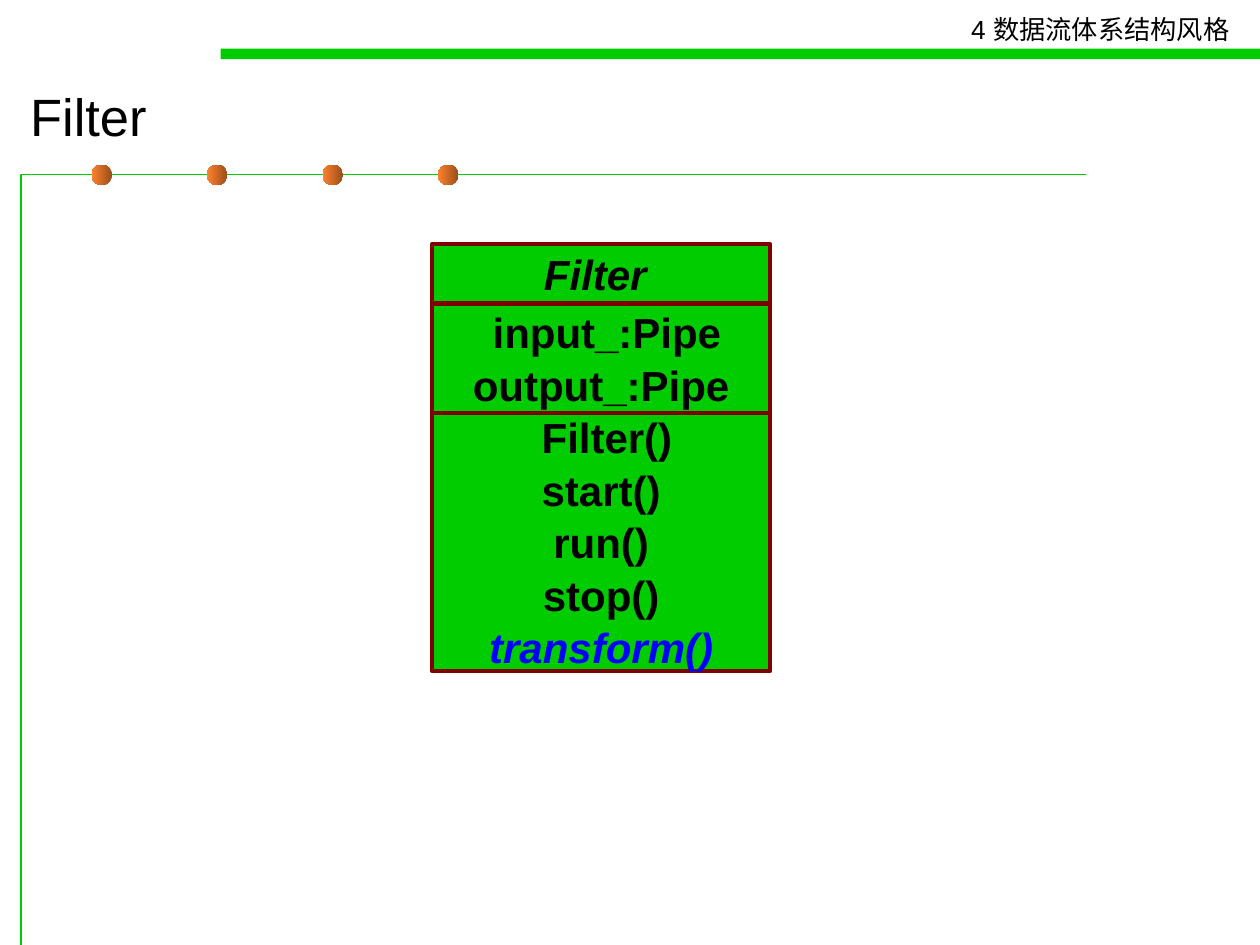
from pptx import Presentation
from pptx.dml.color import RGBColor
from pptx.enum.shapes import MSO_SHAPE
from pptx.enum.text import MSO_ANCHOR, PP_ALIGN
from pptx.util import Pt

COLORS = {
    "green": "00CC00", "maroon": "800000", "black": "000000", "blue": "0000FF",
    "dot_dark": "9A4E1B", "dot_light": "FF822D",
}


def color(name):
    return RGBColor.from_string(COLORS[name])


def write_text(paragraph, text, color_name="black", **font_values):
    run = paragraph.add_run()
    run.text = text
    for name, value in {"name": "Arial", **font_values}.items():
        setattr(run.font, name, value)
    run.font.color.rgb = color(color_name)


presentation = Presentation()
presentation.slide_width, presentation.slide_height = Pt(720), Pt(540)
slide = presentation.slides.add_slide(presentation.slide_layouts[5])
shapes = slide.shapes

# Thin corner line
builder = shapes.build_freeform(Pt(12), Pt(540), scale=1.0)
builder.add_line_segments([(Pt(12), Pt(99.8)), (Pt(620.8), Pt(99.8))], close=False)
corner_line = builder.convert_to_shape()
corner_line.shadow.inherit = False
corner_line.fill.background()
corner_line.line.color.rgb = color("green")
corner_line.line.width = Pt(0.75)

# Evenly spaced dots on the line
for index in range(4):
    dot = shapes.add_shape(
        MSO_SHAPE.OVAL, Pt(52.3 + 66 * index), Pt(94.1), Pt(11.7), Pt(11.7))
    dot.shadow.inherit = False
    dot.line.fill.background()
    dot.fill.gradient()
    dot.fill.gradient_angle = 180
    for stop, name in zip(dot.fill.gradient_stops, ("dot_dark", "dot_light")):
        stop.color.rgb = color(name)

# Header bar and chapter name
bar = shapes.add_shape(MSO_SHAPE.RECTANGLE, Pt(126), Pt(27.8), Pt(594), Pt(6))
bar.shadow.inherit = False
bar.fill.solid()
bar.fill.fore_color.rgb = color("green")
bar.line.fill.background()

chapter = shapes.add_textbox(Pt(547.9), Pt(4.3), Pt(165.6), Pt(25.2))
chapter.text_frame.word_wrap = False
write_text(chapter.text_frame.paragraphs[0], "4 数据流体系结构风格", size=Pt(15))

# Title
title = shapes.title
title.left, title.top, title.width, title.height = Pt(10), Pt(40.5), Pt(669), Pt(51)
title.text_frame.vertical_anchor = MSO_ANCHOR.MIDDLE
title.text_frame.paragraphs[0].alignment = PP_ALIGN.LEFT
write_text(title.text_frame.paragraphs[0], "Filter", size=Pt(30))

# Class diagram: name, attributes, operations
italic = {"italic": True}
compartments = [
    (34, [("Filter ", italic)]),
    (62.5, [(" input_:Pipe", {}), ("output_:Pipe", {})]),
    (147.5, [(" Filter()", {}), ("start()", {}), ("run()", {}), ("stop()", {}),
             ("transform()", {"color_name": "blue", **italic})]),
]
top = 139.5
for height, members in compartments:
    box = shapes.add_shape(MSO_SHAPE.RECTANGLE, Pt(247), Pt(top), Pt(193), Pt(height))
    top += height
    box.shadow.inherit = False
    box.fill.solid()
    box.fill.fore_color.rgb = color("green")
    box.line.color.rgb = color("maroon")
    box.line.width = Pt(2.5)
    frame = box.text_frame
    frame.word_wrap = False
    frame.vertical_anchor = MSO_ANCHOR.MIDDLE
    for index, (text, values) in enumerate(members):
        paragraph = frame.add_paragraph() if index else frame.paragraphs[0]
        paragraph.alignment = PP_ALIGN.CENTER
        if index:
            paragraph.space_before = Pt(1.2)
        write_text(paragraph, text, size=Pt(24), bold=True, **values)

presentation.save("out.pptx")
